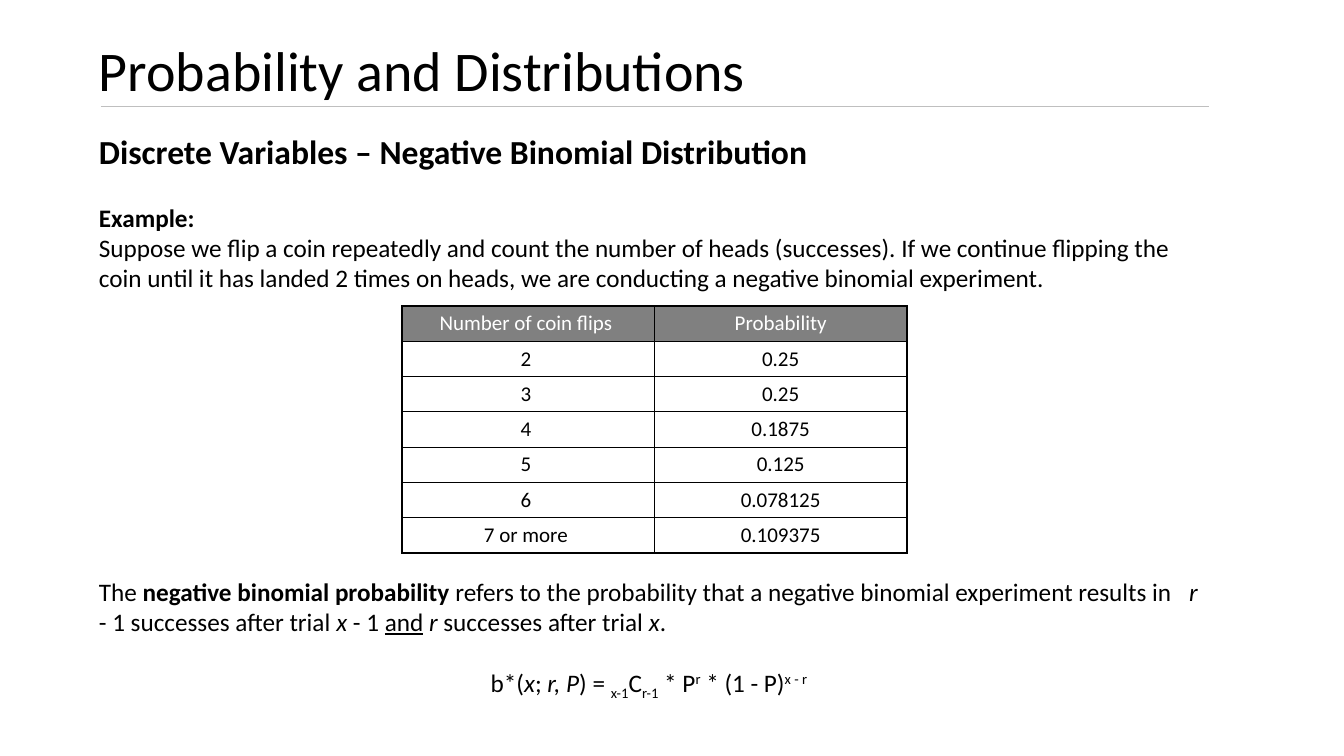
import pptx
import pptx.dml.color
import pptx.enum.shapes
import pptx.enum.text
import pptx.util
from dataclasses import dataclass
from lxml import etree

EMU_PER_PIXEL = 914400 / 100.8
A = "http://schemas.openxmlformats.org/drawingml/2006/main"
ALIGN = pptx.enum.text.PP_ALIGN
ANCHOR = pptx.enum.text.MSO_ANCHOR


@dataclass(frozen=True)
class Theme:
    font: str = "Calibri"
    ink: str = "000000"
    paper: str = "FFFFFF"
    header: str = "808080"
    rule: str = "BFBFBF"
    title: int = 40
    heading: int = 24
    body: int = 18
    cell: int = 15
    rule_width: float = 0.5
    border_width: int = 1


THEME = Theme()

# Run styles
PLAIN = {}
BOLD = {"bold": True}
ITALIC = {"italic": True}
UNDERLINE = {"underline": True}
SUB = {"baseline": -25000}
SUPER = {"baseline": 30000}
WIDE = {"spc": 810}  # a single space as wide as three

FLIPS = [
    ("Number of coin flips ", "Probability"),
    ("2 ", "0.25"),
    ("3 ", "0.25"),
    ("4 ", "0.1875"),
    ("5 ", "0.125"),
    ("6 ", "0.078125"),
    ("7 or more ", "0.109375"),
]
DEFINITION = [
    ("The ", PLAIN), ("negative binomial probability", BOLD),
    (" refers to the probability that a negative binomial experiment results in", PLAIN),
    (" ", WIDE), ("r ", ITALIC), ("- 1 successes after trial ", PLAIN),
    ("x", ITALIC), (" - 1 ", PLAIN), ("and", UNDERLINE), (" ", PLAIN),
    ("r", ITALIC), (" successes after trial ", PLAIN), ("x", ITALIC), (".", PLAIN),
]
FORMULA = [
    ("b*(", PLAIN), ("x", ITALIC), ("; ", PLAIN), ("r, P", ITALIC), (") = ", PLAIN),
    ("x-1", SUB), ("C", PLAIN), ("r-1", SUB), (" * P", PLAIN), ("r", SUPER),
    (" * (1 - P)", PLAIN), ("x - r", SUPER),
]


def px(pixels):
    return pptx.util.Emu(round(pixels * EMU_PER_PIXEL))


def rgb(value):
    return pptx.dml.color.RGBColor.from_string(value)


def write(paragraph, pieces, size, color=THEME.ink):
    for text, style in pieces:
        run = paragraph.add_run()
        run.text = text
        font = run.font
        font.name, font.size = THEME.font, pptx.util.Pt(size)
        font.color.rgb = rgb(color)
        for key, value in style.items():
            if key in ("baseline", "spc"):
                run._r.get_or_add_rPr().set(key, str(value))
            else:
                setattr(font, key, value)


def add_text(slide, box, paragraphs, size, anchor=ANCHOR.TOP):
    frame = slide.shapes.add_textbox(*map(px, box)).text_frame
    frame.word_wrap = True
    frame.vertical_anchor = anchor
    for index, pieces in enumerate(paragraphs):
        paragraph = frame.add_paragraph() if index else frame.paragraphs[0]
        write(paragraph, pieces, size)
    return frame.paragraphs


def add_title(slide, box):
    left, top, width, height = box
    title, = add_text(slide, (left, top, 1008, height),
                      [[("Probability and Distributions", PLAIN)]],
                      THEME.title, ANCHOR.BOTTOM)
    title.line_spacing = 0.9
    # Rule under the title
    rule_y = top + height - 3
    rule = slide.shapes.add_connector(
        pptx.enum.shapes.MSO_CONNECTOR.STRAIGHT,
        px(left + 12), px(rule_y), px(left + width), px(rule_y))
    rule.line.color.rgb = rgb(THEME.rule)
    rule.line.width = pptx.util.Pt(THEME.rule_width)
    etree.SubElement(rule._element.spPr, f"{{{A}}}effectLst")


def add_example(slide, box):
    left, top, width, height = box
    add_text(slide, (left, top, width, 50),
             [[("Discrete Variables – Negative Binomial Distribution", BOLD)]],
             THEME.heading)
    add_text(slide, (left, top + 71, width, height - 71), [
        [("Example: ", BOLD)],
        [("Suppose we flip a coin repeatedly and count the number of heads "
          "(successes). If we continue flipping the coin until it has landed 2 times "
          "on heads, we are conducting a negative binomial experiment. ", PLAIN)],
    ], THEME.body)


def add_borders(cell):
    properties = cell._tc.get_or_add_tcPr()
    for index, side in enumerate(("lnL", "lnR", "lnT", "lnB")):
        border = etree.Element(f"{{{A}}}{side}",
                               w=str(pptx.util.Pt(THEME.border_width)))
        fill = etree.SubElement(border, f"{{{A}}}solidFill")
        etree.SubElement(fill, f"{{{A}}}srgbClr", val=THEME.ink)
        properties.insert(index, border)


def add_flip_table(slide, box):
    rows, columns = len(FLIPS), len(FLIPS[0])
    table = slide.shapes.add_table(rows, columns, *map(px, box)).table
    for column in table.columns:
        column.width = px(box[2] / columns)
    for row_index, values in enumerate(FLIPS):
        is_header = row_index == 0
        table.rows[row_index].height = px(box[3] / rows)
        for column_index, value in enumerate(values):
            cell = table.cell(row_index, column_index)
            cell.margin_top = cell.margin_bottom = px(2)
            cell.vertical_anchor = ANCHOR.MIDDLE
            cell.fill.solid()
            cell.fill.fore_color.rgb = rgb(THEME.header if is_header else THEME.paper)
            paragraph = cell.text_frame.paragraphs[0]
            paragraph.alignment = ALIGN.CENTER
            write(paragraph, [(value, PLAIN if is_header else {"bold": False})],
                  THEME.cell, THEME.paper if is_header else THEME.ink)
            if is_header:
                paragraph.runs[0].font.bold = False
            add_borders(cell)


def add_definition(slide, box):
    _, formula = add_text(slide, box, [DEFINITION, FORMULA], THEME.body)
    formula.alignment = ALIGN.CENTER
    formula.space_before = pptx.util.Pt(22)


def main():
    presentation = pptx.Presentation()
    presentation.slide_width, presentation.slide_height = px(1344), px(756)
    slide = presentation.slides.add_slide(presentation.slide_layouts[6])
    add_title(slide, (89, 30, 1120, 79))
    add_example(slide, (89, 126, 1120, 173))
    add_flip_table(slide, (402, 306, 505, 247))
    add_definition(slide, (89, 571, 1120, 132))
    presentation.save("out.pptx")


main()
